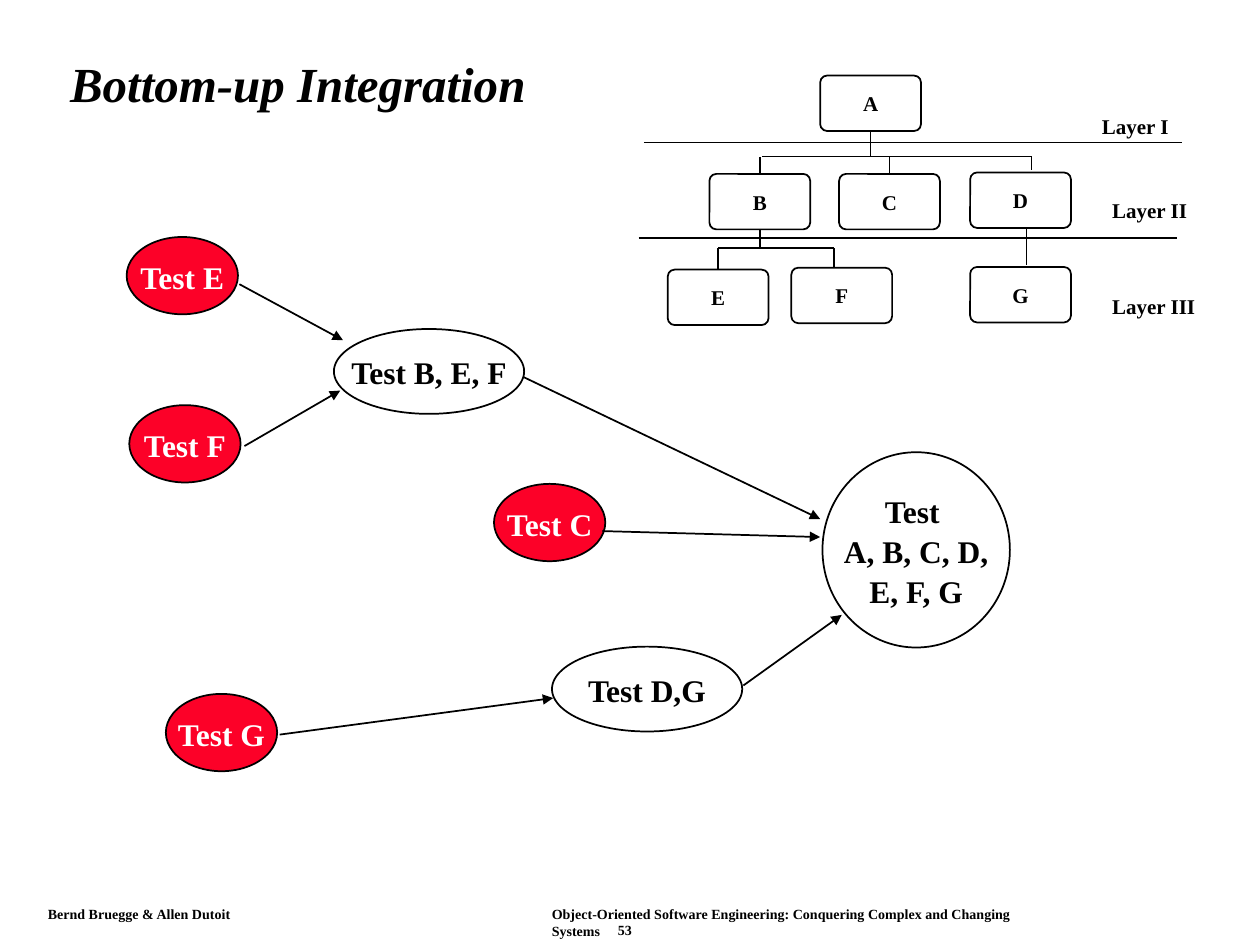
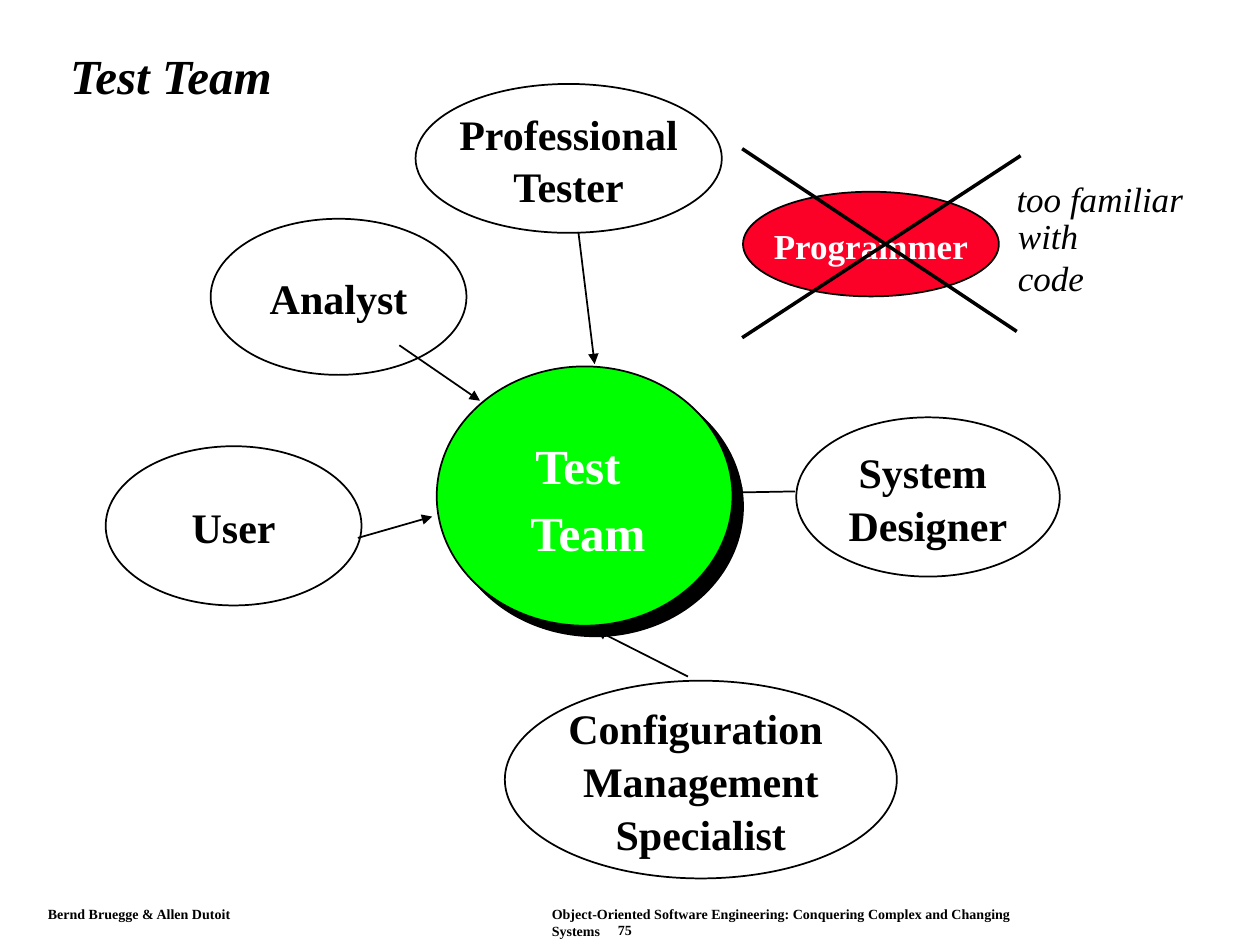
import pptx
import pptx.util
import pptx.dml.color
import pptx.enum.shapes
import pptx.enum.text
import pptx.oxml
import pptx.oxml.ns

Pt = pptx.util.Pt
RGB = pptx.dml.color.RGBColor
KIND = pptx.enum.shapes.MSO_SHAPE
STRAIGHT = pptx.enum.shapes.MSO_CONNECTOR.STRAIGHT
ALIGN = pptx.enum.text.PP_ALIGN
ANCHOR = pptx.enum.text.MSO_ANCHOR
FIT = pptx.enum.text.MSO_AUTO_SIZE

# Shared look
BLACK = RGB(0x00, 0x00, 0x00)
WHITE = RGB(0xFF, 0xFF, 0xFF)
RED = RGB(0xFC, 0x01, 0x28)
GREEN = RGB(0x00, 0xFF, 0x00)
FACE = "Times New Roman"
INSET = {"margin_left": Pt(7.2), "margin_right": Pt(7.2),
         "margin_top": Pt(3.6), "margin_bottom": Pt(3.6)}
BOX_W, BOX_H = 57.6, 31.7
TOP, BOTTOM = 0, 2
AUTHORS = "Bernd Bruegge & Allen Dutoit"
BOOK = "Object-Oriented Software Engineering: Conquering Complex and Changing Systems"


def put(obj, vals):
    for key, val in vals.items():
        setattr(obj, key, val)


def write(shape, text, size, color=BLACK, bold=True, italic=False,
          frame=None, para=None):
    """Fill a shape with one paragraph per line of text."""
    tf = shape.text_frame
    put(tf, {**INSET, "word_wrap": False, **(frame or {})})
    for num, line in enumerate(text.split("\n")):
        par = tf.add_paragraph() if num else tf.paragraphs[0]
        put(par, para or {})
        run = par.add_run()
        run.text = line
        put(run.font, {"name": FACE, "size": Pt(size), "bold": bold,
                       "italic": italic})
        run.font.color.rgb = color


def label(slide, at, text, size, **style):
    shape = slide.shapes.add_textbox(*map(Pt, at))
    style.setdefault("frame", {"auto_size": FIT.SHAPE_TO_FIT_TEXT})
    write(shape, text, size, **style)


def node(slide, kind, at, fill=None):
    """Outlined shape, with no fill unless a colour is given."""
    shape = slide.shapes.add_shape(kind, *map(Pt, at))
    shape.shadow.inherit = False
    if fill is None:
        shape.fill.background()
    else:
        shape.fill.solid()
        shape.fill.fore_color.rgb = fill
    shape.line.color.rgb = BLACK
    shape.line.width = Pt(1)
    return shape


def oval(slide, at, text, size, fill=None):
    shape = node(slide, KIND.OVAL, at, fill)
    write(shape, text, size, WHITE if fill == RED else BLACK,
          frame={"vertical_anchor": ANCHOR.MIDDLE},
          para={"alignment": ALIGN.CENTER, "line_spacing": 1.05})


def box(slide, left, top, text):
    shape = node(slide, KIND.ROUNDED_RECTANGLE, (left, top, BOX_W, BOX_H))
    shape.adjustments[0] = 0.125
    write(shape, text, 12, frame={"vertical_anchor": ANCHOR.MIDDLE},
          para={"alignment": ALIGN.CENTER})
    return shape


def line(slide, ends, width=1, arrow=False):
    link = slide.shapes.add_connector(STRAIGHT, *map(Pt, ends))
    link.line.color.rgb = BLACK
    link.line.width = Pt(width)
    if arrow:
        tip = pptx.oxml.parse_xml(
            '<a:tailEnd %s type="triangle"/>' % pptx.oxml.ns.nsdecls("a"))
        link.line._get_or_add_ln().append(tip)
    link._element.spPr.append(pptx.oxml.parse_xml(
        "<a:effectLst %s/>" % pptx.oxml.ns.nsdecls("a")))
    return link


def stem(slide, shape, side, end):
    """Upright line from the middle of a box's side to a given height."""
    mid = (shape.left + shape.width // 2) / Pt(1)
    line(slide, (mid, end, mid, end)).begin_connect(shape, side)


def cast(shape, dist):
    """Solid black shadow towards the lower right."""
    effect = shape._element.spPr.find(pptx.oxml.ns.qn("a:effectLst"))
    effect.append(pptx.oxml.parse_xml(
        '<a:outerShdw %s dist="%d" dir="2700000" algn="ctr" rotWithShape="0">'
        '<a:srgbClr val="000000"/></a:outerShdw>'
        % (pptx.oxml.ns.nsdecls("a"), Pt(dist))))


def start(deck, title, top, high, page):
    """New slide with the title and the footer."""
    slide = deck.slides.add_slide(deck.slide_layouts[6])
    label(slide, (33, top, 642, high), title, 28, italic=True,
          frame={"word_wrap": True, "vertical_anchor": ANCHOR.MIDDLE},
          para={"line_spacing": 0.9})
    for left, foot, wide, text in ((20.2, 514, 120, AUTHORS),
                                   (308.2, 514, 306, BOOK),
                                   (346, 523.2, 23, page)):
        label(slide, (left, foot, wide, 16.4), text, 8)
    return slide


def layers(slide):
    """Call tree in three layers."""
    spots = {"A": (468.7, 43.2), "B": (405.4, 99.4), "C": (479.5, 99.4),
             "D": (554.4, 98.6), "E": (381.6, 154.1), "F": (452.2, 153),
             "G": (554.4, 152.6)}
    tree = {name: box(slide, *spot, name) for name, spot in spots.items()}
    for name, side, end in (("A", BOTTOM, 89), ("B", TOP, 89.5),
                            ("C", TOP, 89.5), ("B", BOTTOM, 141.8),
                            ("E", TOP, 141.8)):
        stem(slide, tree[name], side, end)
    for ends in ((435.5, 89.5, 589.5, 89.5), (589.5, 89.5, 589.5, 97.2),
                 (410.4, 141.8, 476.5, 141.8), (476.5, 141.8, 476.5, 152.6),
                 (586.6, 131, 586.6, 151.2),
                 (368, 81.4, 675.4, 81.4), (365, 136.1, 672.5, 136.1)):
        line(slide, ends)
    for left, top, wide, text in ((622.6, 61.2, 52.6, "Layer I"),
                                  (628.5, 109.4, 57.6, "Layer II"),
                                  (628.5, 164.2, 61.9, "Layer III")):
        label(slide, (left, top, wide, 21.6), text, 12)


def tests(slide):
    """Order in which the parts are tested."""
    for left, top, part in ((72.4, 135.4, "E"), (73.9, 231.5, "F"),
                            (94.8, 396.5, "G"), (282.3, 276.5, "C")):
        oval(slide, (left, top, 63.6, 44.2), "Test " + part, 18, RED)
    for left, top, parts in ((190.8, 188, "B, E, F"), (315.4, 369.5, "D,G")):
        oval(slide, (left, top, 108.7, 48.5), "Test " + parts, 18)
    oval(slide, (470, 258.4, 107.1, 111.6), "Test \nA, B, C, D,\nE, F, G", 18)
    for ends in ((136.8, 162.4, 196, 194.4), (139.7, 254.9, 194.4, 223.2),
                 (159.8, 419.8, 316.1, 398.9), (298.8, 215.3, 468.7, 296.6),
                 (344.2, 303.5, 468.7, 306.9), (424.8, 391.7, 481, 351.4)):
        line(slide, ends, arrow=True)


def team(slide):
    """Roles around the test team."""
    hub = node(slide, KIND.OVAL, (249.6, 209.4, 169, 148.2), GREEN)
    cast(hub, 8.5)
    label(slide, (298.8, 245.5, 65.5, 40.3), "Test", 28, color=WHITE)
    label(slide, (296, 283.7, 82.8, 40.3), "Team", 28, color=WHITE)
    for at, role in (((120.4, 125, 146.2, 89.2), "Analyst"),
                     ((60.4, 255, 146.2, 91), "User"),
                     ((237.5, 48, 175, 85.1), "Professional\nTester"),
                     ((288.5, 389, 224, 113),
                      "Configuration \nManagement\nSpecialist"),
                     ((455, 238.5, 150.6, 91), "System \nDesigner")):
        oval(slide, at, role, 24, WHITE)
    for ends in ((393.1, 386.6, 340.6, 360), (228.2, 197.3, 274.3, 229),
                 (204.5, 307.4, 247, 295.2), (330.5, 132.5, 339.8, 208.1),
                 (454.3, 280.8, 418.3, 281.5)):
        line(slide, ends, arrow=True)


def banned(slide):
    """Role that is crossed out, and why."""
    oval(slide, (424.6, 109.6, 146.2, 59.8), "Programmer", 20, RED)
    line(slide, (583.2, 89, 424.1, 193), width=2)
    line(slide, (424.1, 85, 581, 189.4), width=2)
    for left, top, wide, text in ((573.8, 97.9, 109.4, "too familiar"),
                                  (574.6, 118.8, 91.4, "with code")):
        label(slide, (left, top, wide, 31), text, 20, bold=False, italic=True)


def main():
    deck = pptx.Presentation()
    put(deck, {"slide_width": Pt(720), "slide_height": Pt(540)})

    slide = start(deck, "Bottom-up Integration", 15.8, 67.7, "53")
    layers(slide)
    tests(slide)

    slide = start(deck, "Test Team", 17.3, 55.4, "75")
    team(slide)
    banned(slide)

    deck.save("out.pptx")


if __name__ == "__main__":
    main()
